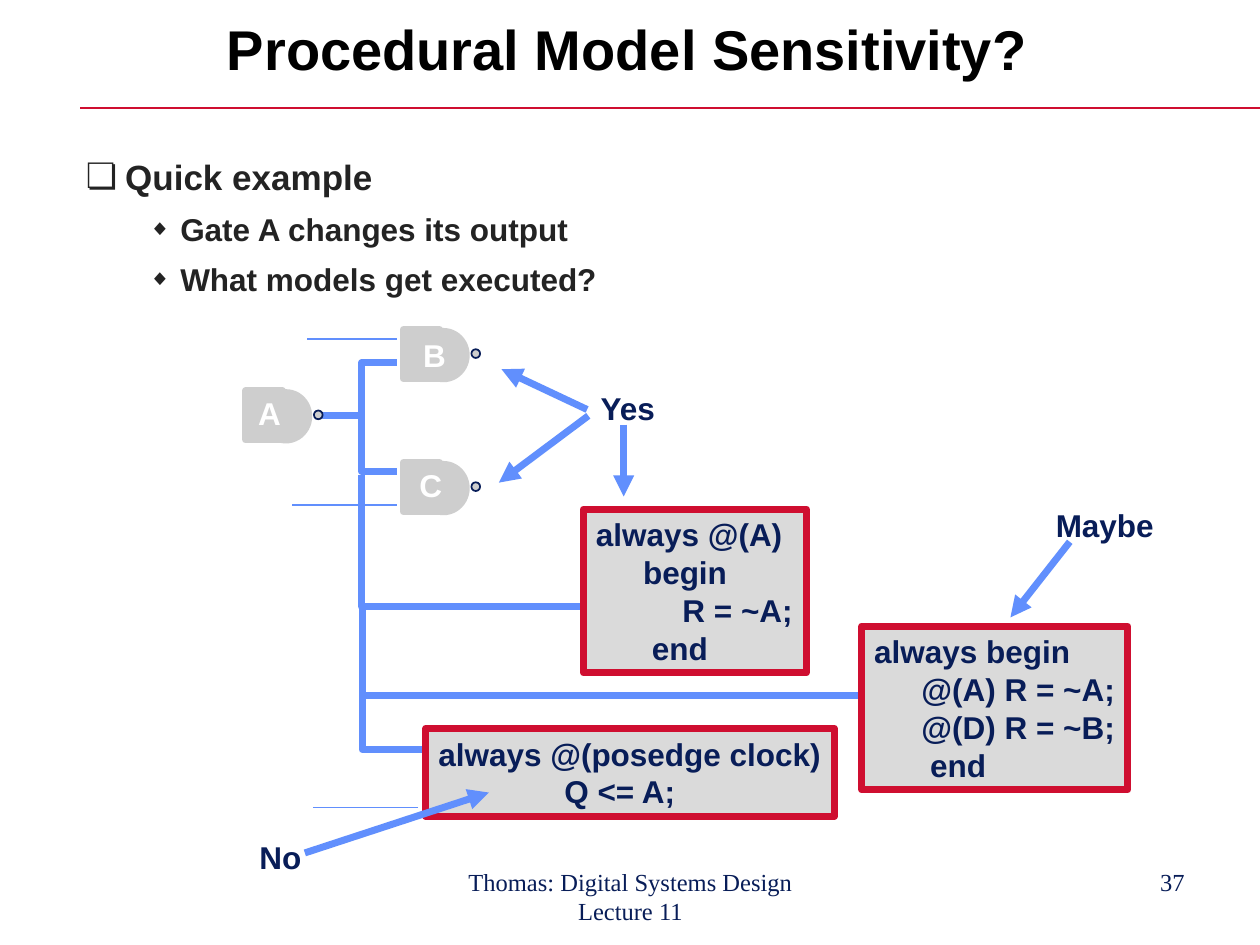
"""Builds the slide on procedural model sensitivity with its gate and code diagram."""
import pptx
import pptx.dml.color
import pptx.enum.shapes
import pptx.enum.text
import pptx.oxml
import pptx.oxml.ns
import pptx.util

Pt = pptx.util.Pt
qn = pptx.oxml.ns.qn
SHAPE = pptx.enum.shapes.MSO_SHAPE
ANCHOR = pptx.enum.text.MSO_ANCHOR
ALIGN = pptx.enum.text.PP_ALIGN
FIT = pptx.enum.text.MSO_AUTO_SIZE
NS = 'xmlns:a="http://schemas.openxmlformats.org/drawingml/2006/main"'
HEX = {"red": "CF0E30", "wire": "618FFD", "gate": "CECECE", "box": "DADADA",
       "navy": "081D58", "ink": "232323", "black": "000000", "white": "FFFFFF"}
RGB = {name: pptx.dml.color.RGBColor.from_string(code) for name, code in HEX.items()}


def write(frame, lines, size=18, color="navy", face="Arial", bold=True):
    for num, line in enumerate(lines):
        para = frame.paragraphs[0] if num == 0 else frame.add_paragraph()
        run = para.add_run()
        run.text = line
        run.font.size = Pt(size)
        run.font.name = face
        run.font.bold = bold
        run.font.color.rgb = RGB[color]
    return frame.paragraphs


def wire(x1, y1, x2, y2, width=4, color="wire", arrow=False):
    line = slide.shapes.add_connector(
        pptx.enum.shapes.MSO_CONNECTOR.STRAIGHT, Pt(x1), Pt(y1), Pt(x2), Pt(y2))
    line.line.color.rgb = RGB[color]
    line.line.width = Pt(width)
    if arrow:
        line.line._get_or_add_ln().append(
            pptx.oxml.parse_xml(f'<a:tailEnd {NS} type="triangle"/>'))
    line._element.spPr.append(pptx.oxml.parse_xml(f"<a:effectLst {NS}/>"))


deck = pptx.Presentation()
deck.slide_width, deck.slide_height = Pt(720), Pt(540)
slide = deck.slides.add_slide(deck.slide_layouts[1])
wire(46, 61.9, 720, 61.9, 1, "red")

title = slide.shapes.title
title.left, title.top, title.width, title.height = Pt(49), Pt(12.2), Pt(619), Pt(36.7)
title.text_frame.vertical_anchor = ANCHOR.MIDDLE
title.text_frame.auto_size = FIT.NONE
head = write(title.text_frame, ["Procedural Model Sensitivity?"], 32, "black")[0]
head.alignment = ALIGN.CENTER
head.line_spacing = 0.85

body = slide.placeholders[1]
body.left, body.top, body.width, body.height = Pt(41.8), Pt(85.5), Pt(636), Pt(414)
body.text_frame.auto_size = FIT.NONE
items = write(body.text_frame, ["Quick example", "Gate A changes its output",
                                "What models get executed?"], 18, "ink")
items[0].runs[0].font.size = Pt(20)
for num, para in enumerate(items):
    level, gap, left, hang, mark, scale = (1, 6.8, 54, 18, "◆", 70) if num else (0, 0, 22.5, 22.5, "❏", 100)
    para.level = level
    para.space_before = Pt(gap)
    props = para._p.get_or_add_pPr()
    props.set("marL", str(Pt(left)))
    props.set("indent", str(-Pt(hang)))
    for xml in (f'<a:buClr {NS}><a:srgbClr val="{HEX["ink"]}"/></a:buClr>',
                f'<a:buSzPct {NS} val="{scale * 1000}"/>',
                f'<a:buChar {NS} char="{mark}"/>'):
        props.append(pptx.oxml.parse_xml(xml))

for ends in ((206.6, 397.4, 491, 397.4), (184.3, 237.6, 207.4, 237.6)):
    wire(*ends)
for ends in ((226.8, 193.7, 175.7, 193.7), (226.8, 288.7, 167, 288.7), (239, 461.5, 178.6, 461.5)):
    wire(*ends, 1)
for points in (((226.8, 207.4), (206.6, 207.4), (206.6, 269.3), (226.8, 269.3)),
               ((206.6, 271.4), (206.6, 346.5), (340, 346.5)),
               ((207, 345), (207, 428.4), (241.2, 428.4))):
    spots = [(Pt(x), Pt(y)) for x, y in points]
    build = slide.shapes.build_freeform(*spots[0], scale=1.0)
    build.add_line_segments(spots[1:], close=False)
    path = build.convert_to_shape()
    path.shadow.inherit = False
    path.fill.background()
    path.line.color.rgb = RGB["wire"]
    path.line.width = Pt(4)

for x, y in ((140.4, 223.4), (230.4, 188.4), (230.4, 264.4)):
    for kind, dx, dy, width, height, edge, weight in (
            (SHAPE.RECTANGLE, 0, 0, 21, 28, "gate", 4),
            (SHAPE.OVAL, 10, 1, 26, 27, "gate", 4),
            (SHAPE.OVAL, 39, 11.2, 5, 5, "navy", 1)):
        part = slide.shapes.add_shape(kind, Pt(x + dx), Pt(y + dy), Pt(width), Pt(height))
        part.shadow.inherit = False
        part.fill.solid()
        part.fill.fore_color.rgb = RGB["gate"]
        part.line.color.rgb = RGB[edge]
        part.line.width = Pt(weight)

for x, y, width, height, stops, lines in (
        (333.4, 290.9, 127.4, 93.6, (27, 49.5),
         ["always @(A)", "\tbegin", "\t\tR = ~A;", "\t end"]),
        (243.4, 416.2, 233.3, 50.4, (72,), ["always @(posedge clock)", "\tQ <= A;"]),
        (492.5, 357.8, 152, 93.6, (27, 49.5),
         ["always begin", "\t@(A) R = ~A;", "\t@(D) R = ~B;", "\t end"])):
    box = slide.shapes.add_shape(SHAPE.RECTANGLE, Pt(x), Pt(y), Pt(width), Pt(height))
    box.shadow.inherit = False
    box.fill.solid()
    box.fill.fore_color.rgb = RGB["box"]
    box.line.color.rgb = RGB["red"]
    box.line.width = Pt(4)
    frame = box.text_frame
    frame.word_wrap = False
    frame.auto_size = FIT.SHAPE_TO_FIT_TEXT
    frame.vertical_anchor = ANCHOR.TOP
    tabs = "".join(f'<a:tab pos="{Pt(stop)}" algn="l"/>' for stop in stops)
    for para in write(frame, lines):
        para.alignment = ALIGN.LEFT
        para._p.get_or_add_pPr().append(
            pptx.oxml.parse_xml(f"<a:tabLst {NS}>{tabs}</a:tabLst>"))

for text, x, y, width, color in (
        ("A", 140.4, 221.8, 27.4, "white"), ("B", 234.7, 188.6, 27.4, "white"),
        ("C", 232.6, 262.8, 27.4, "white"), ("No", 141.1, 475.2, 38.2, "navy"),
        ("Yes", 336.2, 218.9, 46, "navy"), ("Maybe", 596.2, 285.8, 70.6, "navy")):
    frame = slide.shapes.add_textbox(Pt(x), Pt(y), Pt(width), Pt(28.8)).text_frame
    frame.word_wrap = False
    frame.auto_size = FIT.SHAPE_TO_FIT_TEXT
    write(frame, [text], color=color)

for ends in ((174.2, 487.4, 279.4, 452.9), (335.5, 234, 286.6, 211), (336.2, 237.6, 285.1, 275.8),
             (356.4, 242.6, 356.4, 283.7), (611.3, 309.6, 577.4, 352.8)):
    wire(*ends, arrow=True)

for text, x, width, side in (("Thomas: Digital Systems Design Lecture 11", 246.2, 228.2, ALIGN.CENTER),
                             ("37", 516.2, 167.8, ALIGN.RIGHT)):
    frame = slide.shapes.add_textbox(Pt(x), Pt(491.8), Pt(width), Pt(37.4)).text_frame
    frame.word_wrap = True
    write(frame, [text], 14, face="Times New Roman", bold=False)[0].alignment = side

deck.save("out.pptx")
